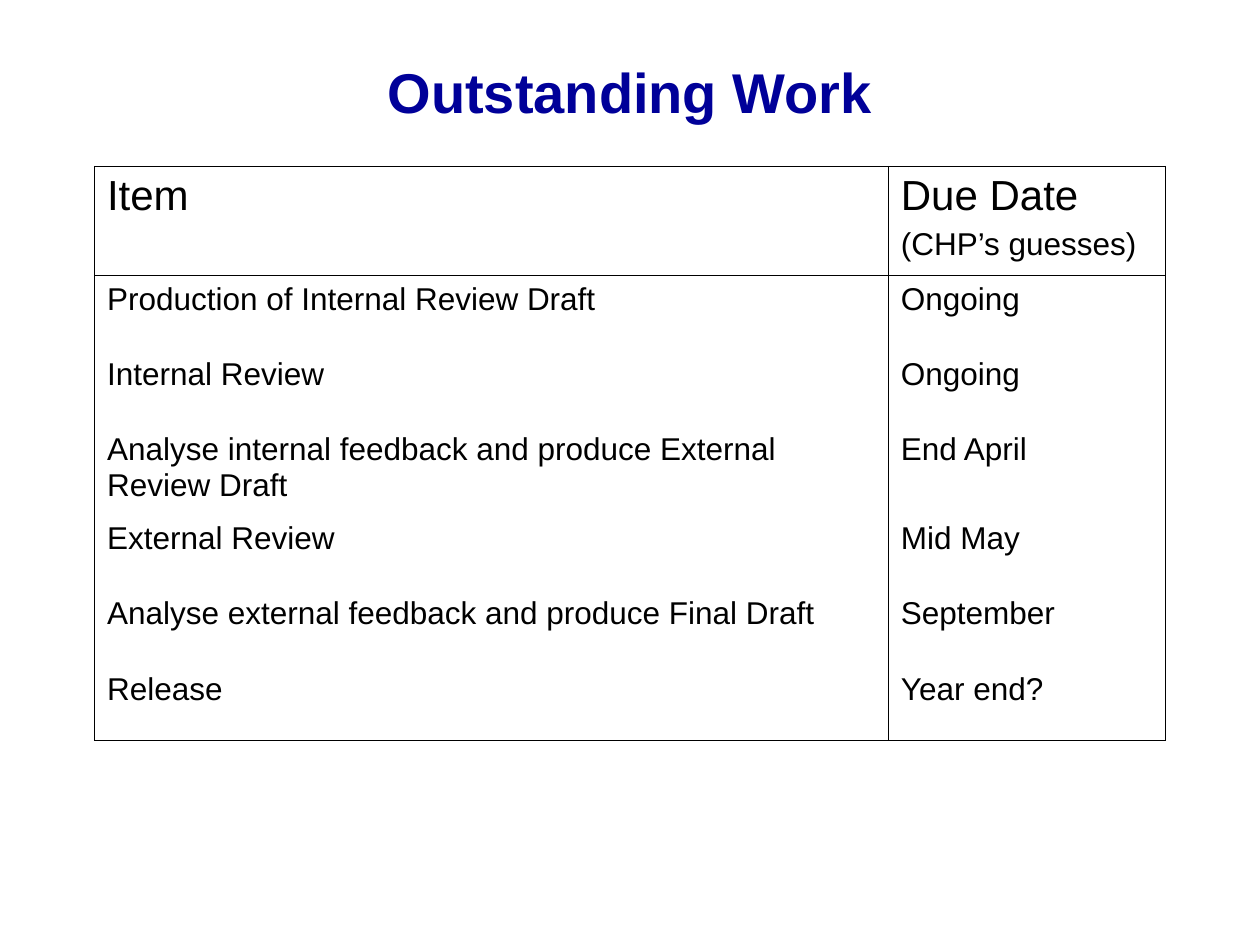
from typing import NamedTuple

from lxml import etree
from pptx import Presentation
from pptx.dml.color import RGBColor
from pptx.enum.text import MSO_ANCHOR, PP_ALIGN
from pptx.oxml.ns import qn
from pptx.slide import Slide
from pptx.table import _Cell
from pptx.text.text import _Paragraph
from pptx.util import Pt

MIDDLE = MSO_ANCHOR.MIDDLE
CENTER = PP_ALIGN.CENTER

NAVY = RGBColor(0x00, 0x00, 0x99)
BLACK = RGBColor(0x00, 0x00, 0x00)
GRAY = RGBColor(0x80, 0x80, 0x80)

FONT = "Arial"
BORDER_WIDTH = Pt(0.45)
COLUMN_WIDTHS = (453.6, 158.4)
HEADER_HEIGHT = 62.3


class WorkItem(NamedTuple):
    name: str
    due: str
    height: float = 43.1


WORK_ITEMS = (
    WorkItem("Production of Internal Review Draft", "Ongoing"),
    WorkItem("Internal Review", "Ongoing"),
    WorkItem("Analyse internal feedback and produce External Review Draft", "End April", 50.5),
    WorkItem("External Review", "Mid May"),
    WorkItem("Analyse external feedback and produce Final Draft", "September"),
    WorkItem("Release", "Year end?"),
)


def write(paragraph: _Paragraph, text: str, size: float, color: RGBColor = BLACK) -> None:
    paragraph.text = text
    paragraph.font.name = FONT
    paragraph.font.size = Pt(size)
    paragraph.font.color.rgb = color


def add_solid_fill(parent: etree._Element, color: RGBColor) -> None:
    fill = etree.SubElement(parent, qn("a:solidFill"))
    etree.SubElement(fill, qn("a:srgbClr"), val=str(color))


def style_cell(cell: _Cell, borders: str) -> None:
    properties = cell._tc.get_or_add_tcPr()
    for side in "LRTB":
        line = etree.SubElement(properties, qn(f"a:ln{side}"), w=str(BORDER_WIDTH))
        if side in borders:
            add_solid_fill(line, BLACK)
        else:
            etree.SubElement(line, qn("a:noFill"))
    cell.fill.background()


def add_title(slide: Slide, text: str) -> None:
    box = slide.shapes.add_textbox(Pt(54), Pt(24), Pt(612), Pt(56))
    frame = box.text_frame
    frame.word_wrap = True
    frame.vertical_anchor = MIDDLE
    paragraph = frame.paragraphs[0]
    write(paragraph, text, 32, NAVY)
    paragraph.alignment = CENTER
    paragraph.font.bold = True
    run_properties = paragraph.runs[0]._r.get_or_add_rPr()
    effects = etree.SubElement(run_properties, qn("a:effectLst"))
    shadow = etree.SubElement(
        effects, qn("a:outerShdw"), dist=str(Pt(2)), dir="2700000", algn="tl"
    )
    etree.SubElement(shadow, qn("a:srgbClr"), val=str(GRAY))


def add_schedule(slide: Slide, items: tuple[WorkItem, ...]) -> None:
    heights = [HEADER_HEIGHT, *(item.height for item in items)]
    frame = slide.shapes.add_table(
        len(heights), len(COLUMN_WIDTHS), Pt(54), Pt(95),
        Pt(sum(COLUMN_WIDTHS)), Pt(sum(heights)),
    )
    table = frame.table
    table.first_row = False
    table.horz_banding = False
    for column, width in zip(table.columns, COLUMN_WIDTHS):
        column.width = Pt(width)
    for row, height in zip(table.rows, heights):
        row.height = Pt(height)

    for cell, heading in zip(table.rows[0].cells, ("Item", "Due Date")):
        write(cell.text_frame.paragraphs[0], heading, 24)
        style_cell(cell, "LRTB")
    note = table.cell(0, 1).text_frame.add_paragraph()
    write(note, "(CHP’s guesses)", 18)
    note.space_before = Pt(4.5)

    for index, item in enumerate(items, start=1):
        borders = "LR" + "T" * (index == 1) + "B" * (index == len(items))
        for cell, text in zip(table.rows[index].cells, (item.name, item.due)):
            write(cell.text_frame.paragraphs[0], text, 18)
            style_cell(cell, borders)


def main() -> None:
    """Build the outstanding work slide."""
    presentation = Presentation()
    presentation.slide_width = Pt(720)
    presentation.slide_height = Pt(540)
    slide = presentation.slides.add_slide(presentation.slide_layouts[6])
    add_title(slide, "Outstanding Work")
    add_schedule(slide, WORK_ITEMS)
    presentation.save("out.pptx")


if __name__ == "__main__":
    main()
